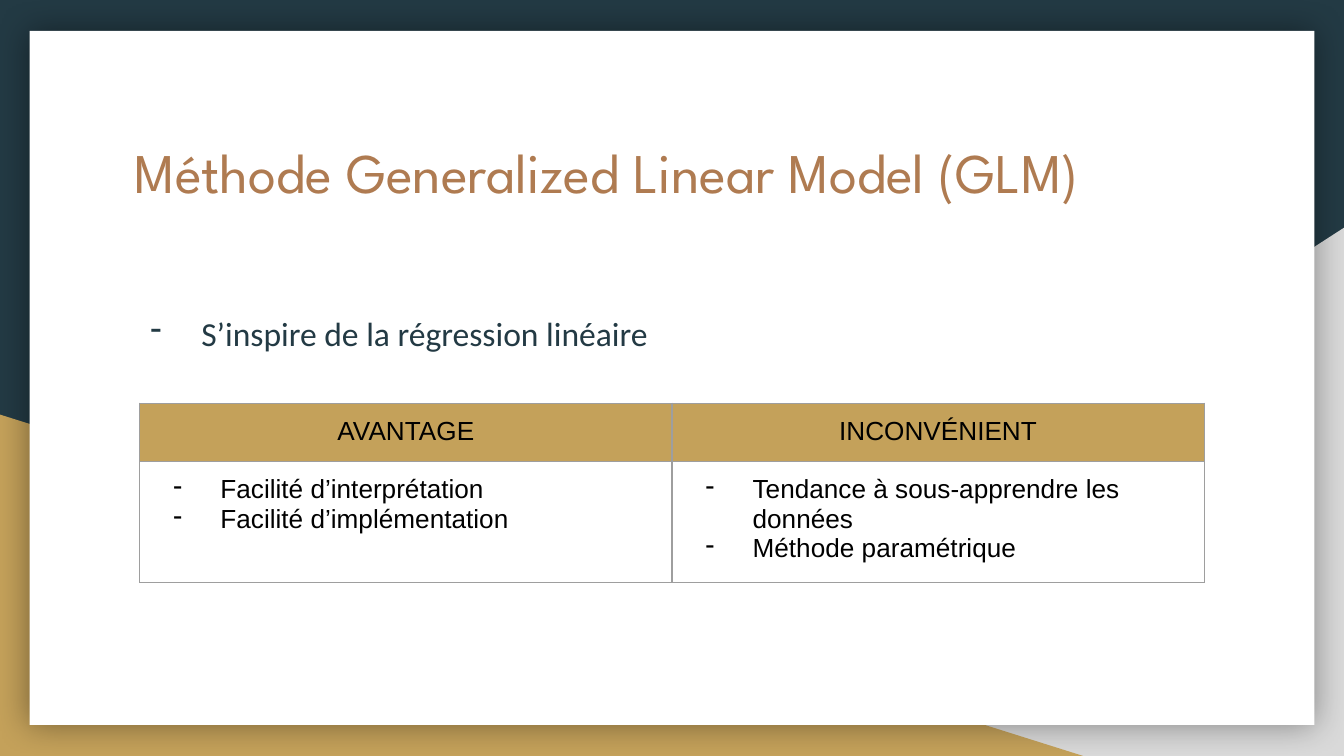
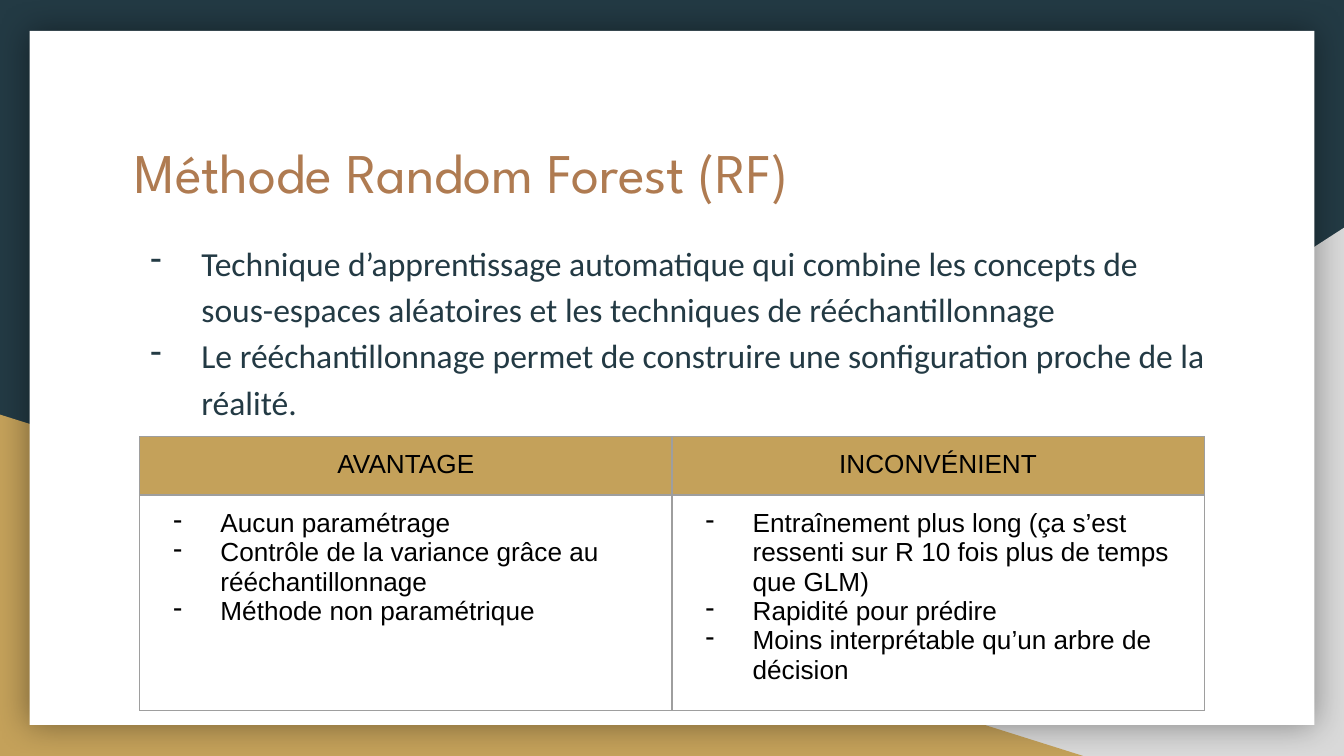
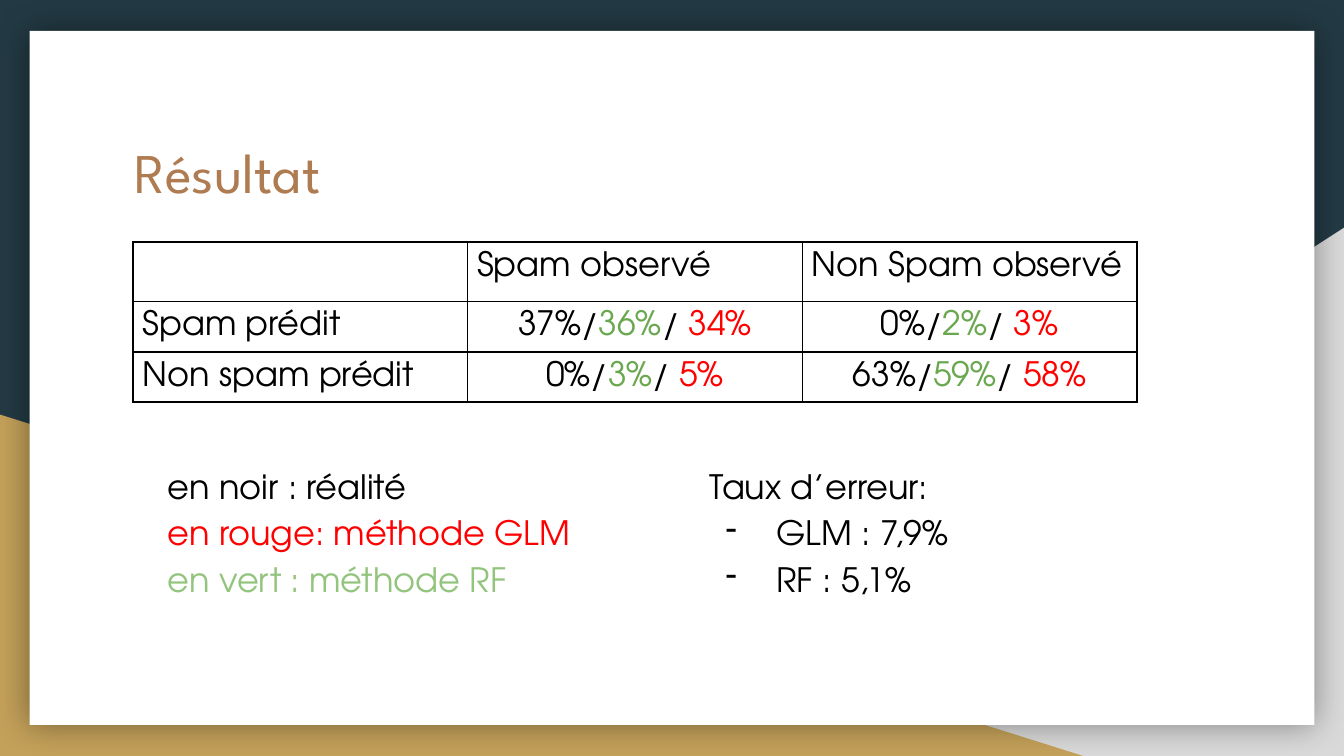
from lxml.etree import SubElement
from pptx import Presentation
from pptx.dml.color import RGBColor
from pptx.enum.shapes import MSO_SHAPE as Shape
from pptx.enum.text import MSO_ANCHOR as Anchor, PP_ALIGN as Align
from pptx.oxml import parse_xml
from pptx.oxml.ns import nsdecls, qn
from pptx.util import Inches, Pt

NIGHT = RGBColor(0x23, 0x3A, 0x44)
GOLD = RGBColor(0xC4, 0xA1, 0x5A)
MIST = RGBColor(0xD9, 0xD9, 0xD9)
COPPER = RGBColor(0xAF, 0x7B, 0x51)
WHITE = RGBColor(0xFF, 0xFF, 0xFF)
BLACK = RGBColor(0x00, 0x00, 0x00)
GRAY = RGBColor(0x9E, 0x9E, 0x9E)
RED = RGBColor(0xFF, 0x00, 0x00)
GREEN = RGBColor(0x6A, 0xA8, 0x4F)
PALE_GREEN = RGBColor(0x93, 0xC4, 0x7D)

TITLE_FONT, BODY_FONT = "League Spartan", "Calibri"
TABLE_FONT, RESULT_FONT = "Arial", "TeX Gyre Adventor"

# Square grid that covers the slide; boxes are (left, top, width, height)
UNIT = Inches(0.1)
COLS, ROWS = 100, 56.25
LEFT, CONTENT_WIDTH = 9, 82.1
TITLE_BOX = (LEFT, 9.2, CONTENT_WIDTH, 10.4)


def grid(*lengths):
    return [round(length * UNIT) for length in lengths]


# ---- Shared formatting ----

def style(paragraph, font, size, color, align=Align.LEFT):
    paragraph.alignment = align
    for run in paragraph.runs:
        run.font.name, run.font.size = font, Pt(size)
        run.font.color.rgb = color


def add_dash(paragraph, color, hanging):
    props = paragraph._p.get_or_add_pPr()
    props.set("marL", str(Inches(0.5)))
    props.set("indent", str(-Inches(hanging)))
    SubElement(SubElement(props, qn("a:buClr")), qn("a:srgbClr")).set("val", str(color))
    SubElement(props, qn("a:buChar")).set("char", "-")


def set_insets(target, inset):
    target.margin_left = target.margin_right = Inches(inset)
    target.margin_top = target.margin_bottom = Inches(inset)


def set_borders(cell, color, width):
    props = cell._tc.get_or_add_tcPr()
    for place, side in enumerate(("lnL", "lnR", "lnT", "lnB")):
        props.insert(place, parse_xml(
            f'<a:{side} {nsdecls("a")} w="{Pt(width)}"><a:solidFill>'
            f'<a:srgbClr val="{color}"/></a:solidFill></a:{side}>'))


# ---- Shared backdrop and title ----

def add_panel(slide, kind, box, color):
    panel = slide.shapes.add_shape(kind, *grid(*box))
    panel.shadow.inherit = False
    panel.fill.solid()
    panel.fill.fore_color.rgb = color
    panel.line.fill.background()
    return panel


def build_backdrop(layout, slide):
    """Draw the backdrop once, then hand it to the layout."""
    layout.background.fill.solid()
    layout.background.fill.fore_color.rgb = NIGHT
    mist = add_panel(slide, Shape.RIGHT_TRIANGLE,
                     (COLS - 60.8, ROWS - 39.3, 60.8, 39.3), MIST)
    mist._element.spPr.get_or_add_xfrm().set("flipH", "1")
    gold = add_panel(slide, Shape.RIGHT_TRIANGLE, (0, ROWS - 25.4, 80.6, 25.4), GOLD)
    side, top = 2.2, 2.3
    card = add_panel(slide, Shape.RECTANGLE,
                     (side, top, COLS - 2 * side, ROWS - 2 * top), WHITE)
    card._element.spPr.find(qn("a:effectLst")).append(parse_xml(
        f'<a:outerShdw {nsdecls("a")} blurRad="{Pt(18)}" dist="0" algn="ctr" '
        f'rotWithShape="0"><a:srgbClr val="{BLACK}"><a:alpha val="40000"/>'
        '</a:srgbClr></a:outerShdw>'))
    for place, panel in enumerate((mist, gold, card), start=2):
        layout.shapes.element.insert(place, panel._element)


def add_title(slide, wording):
    title = slide.shapes.title
    title.left, title.top, title.width, title.height = grid(*TITLE_BOX)
    frame = title.text_frame
    frame.text = wording
    frame.word_wrap = True
    frame.vertical_anchor = Anchor.TOP
    set_insets(frame, 0.1)
    style(frame.paragraphs[0], TITLE_FONT, 30, COPPER)


# ---- Regions ----

def add_lines(slide, box, lines, font, anchor=Anchor.TOP, align=Align.LEFT):
    """Each line is (wording, colour, dashed)."""
    frame = slide.shapes.add_textbox(*grid(*box)).text_frame
    frame.word_wrap = True
    frame.vertical_anchor = anchor
    set_insets(frame, 0.1)
    frame.text = "\n".join(wording for wording, _, _ in lines)
    for paragraph, (_, color, dashed) in zip(frame.paragraphs, lines):
        paragraph.line_spacing = 1.15
        style(paragraph, font, 18, color, align)
        if dashed:
            add_dash(paragraph, color, 0.38)


def add_grid_table(slide, left, top, width, heights, columns, inset, border):
    """Add a plain bordered table and return its rows of cells."""
    table = slide.shapes.add_table(
        len(heights), columns, *grid(left, top, width, sum(heights))).table
    table.first_row = table.horz_banding = False
    for row, height in zip(table.rows, heights):
        row.height = grid(height)[0]
    for cell in table.iter_cells():
        set_insets(cell, inset)
        cell.fill.background()
        set_borders(cell, *border)
    return [list(row.cells) for row in table.rows]


def add_pros_cons(slide, top, pros, cons):
    headers, bodies = add_grid_table(slide, 10.4, top, 79.2, (4.2, 4.2), 2,
                                     0.1, (GRAY, 0.75))
    for header, wording in zip(headers, ("AVANTAGE", "INCONVÉNIENT")):
        header.fill.solid()
        header.fill.fore_color.rgb = GOLD
        header.text_frame.text = wording
        style(header.text_frame.paragraphs[0], TABLE_FONT, 14, BLACK, Align.CENTER)
    for body, points in zip(bodies, (pros, cons)):
        body.text_frame.text = "\n".join(points)
        for paragraph in body.text_frame.paragraphs:
            style(paragraph, TABLE_FONT, 14, BLACK)
            add_dash(paragraph, BLACK, 0.35)


def add_confusion_matrix(slide, top, observed, predicted):
    header, *body = add_grid_table(slide, 9.9, top, 74.7, (4.2, 3.7, 3.7), 3,
                                   0.07, (BLACK, 1))
    labels = list(zip(header[1:], observed))
    labels += [(row[0], label) for row, (label, _) in zip(body, predicted)]
    for cell, label in labels:
        cell.text_frame.text = label
        style(cell.text_frame.paragraphs[0], RESULT_FONT, 18, BLACK)
    # Each rate triple reads: reality / RF / GLM
    for row, (_, triples) in zip(body, predicted):
        for cell, (real, forest, linear) in zip(row[1:], triples):
            rates = cell.text_frame.paragraphs[0]
            parts = ((f"{real}%/", BLACK), (f"{forest}%", GREEN),
                     ("/ ", BLACK), (f"{linear}%", RED))
            for wording, _ in parts:
                rates.add_run().text = wording
            style(rates, RESULT_FONT, 18, BLACK, Align.CENTER)
            for run, (_, color) in zip(rates.runs, parts):
                run.font.color.rgb = color


# ---- Slide types ----

def build_method(slide, name, body_top, body_height, points, table_top, pros, cons):
    add_title(slide, name)
    add_lines(slide, (LEFT, body_top, CONTENT_WIDTH, body_height),
              [(point, NIGHT, True) for point in points], BODY_FONT)
    add_pros_cons(slide, table_top, pros, cons)


def build_results(slide):
    add_title(slide, "Résultat")
    add_confusion_matrix(
        slide, 18, ("Spam observé", "Non Spam observé"),
        (("Spam prédit", ((37, 36, 34), (0, 2, 3))),
         ("Non spam prédit", ((0, 3, 5), (63, 59, 58)))))
    legend = (("en noir : réalité", BLACK, False),
              ("en rouge: méthode GLM", RED, False),
              ("en vert : méthode RF", PALE_GREEN, False))
    errors = (("Taux d’erreur:", BLACK, False),
              ("GLM : 7,9%", BLACK, True),
              ("RF : 5,1%", BLACK, True))
    for left, lines in ((11.5, legend), (51.8, errors)):
        add_lines(slide, (left, 23, 32.8, 32.8), lines, RESULT_FONT,
                  Anchor.MIDDLE, Align.JUSTIFY)


def main():
    deck = Presentation()
    deck.slide_width, deck.slide_height = grid(COLS, ROWS)
    layout = deck.slide_layouts[5]
    linear, forest, results = (deck.slides.add_slide(layout) for _ in range(3))
    build_backdrop(layout, linear)

    build_method(
        linear, "Méthode Generalized Linear Model (GLM)", 21.8, 26.8,
        ["S’inspire de la régression linéaire"], 30,
        ["Facilité d’interprétation", "Facilité d’implémentation"],
        ["Tendance à sous-apprendre les données", "Méthode paramétrique"])
    build_method(
        forest, "Méthode Random Forest (RF)", 16.6, 31.9,
        ["Technique d’apprentissage automatique qui combine les concepts de "
         "sous-espaces aléatoires et les techniques de rééchantillonnage",
         "Le rééchantillonnage permet de construire une sonfiguration "
         "proche de la réalité."], 32.5,
        ["Aucun paramétrage",
         "Contrôle de la variance grâce au rééchantillonnage",
         "Méthode non paramétrique"],
        ["Entraînement plus long (ça s’est ressenti sur R 10 fois plus de "
         "temps que GLM)",
         "Rapidité pour prédire",
         "Moins interprétable qu’un arbre de décision"])
    build_results(results)
    deck.save("out.pptx")


if __name__ == "__main__":
    main()
